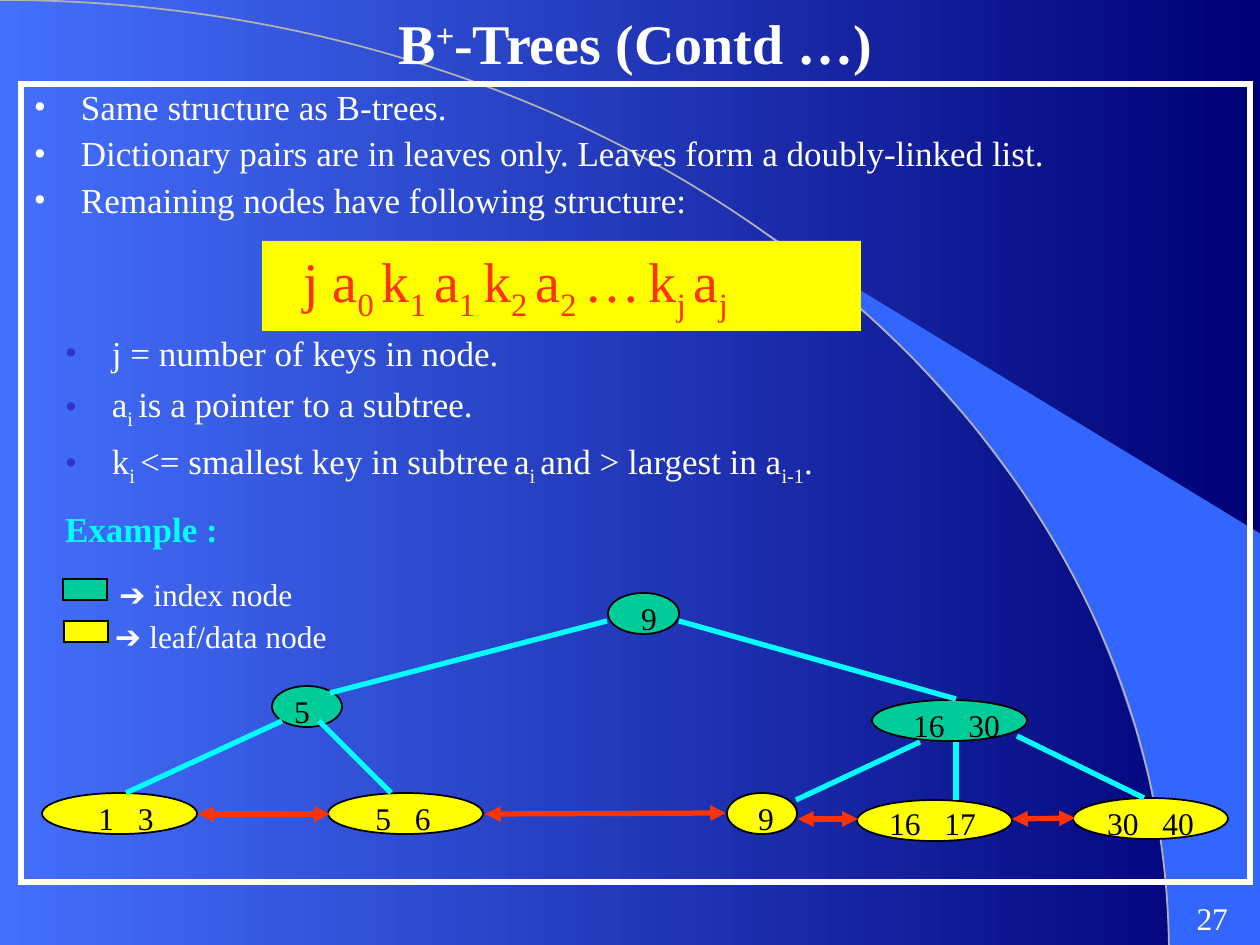
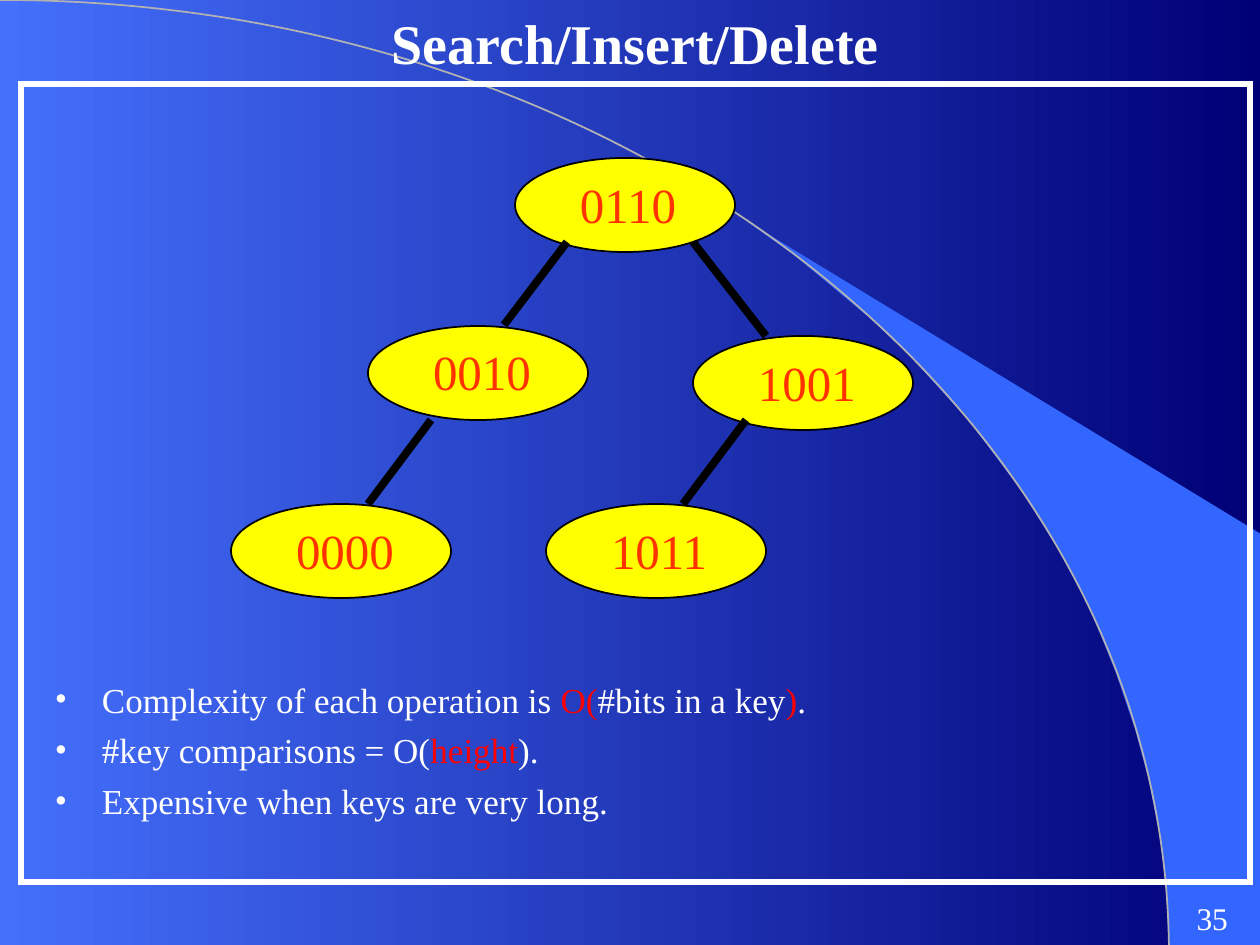
from lxml.etree import SubElement
from pptx import Presentation
from pptx.dml.color import RGBColor
from pptx.enum.shapes import MSO_CONNECTOR, MSO_SHAPE
from pptx.enum.text import MSO_ANCHOR, PP_ALIGN
from pptx.oxml.ns import qn
from pptx.util import Inches, Pt

PX = Inches(1) / 126
rgb = RGBColor.from_string


class Theme:
    font, symbol_font = "Times New Roman", "Arial"
    title, formula, key, body, small = 32, 32, 28, 20, 18
    white, black, gray = rgb("FFFFFF"), rgb("000000"), rgb("B2B2B2")
    sky, night, wedge = rgb("4470FC"), rgb("000076"), rgb("3366FF")
    yellow, green, cyan = rgb("FFFF00"), rgb("00CC99"), rgb("00FFFF")
    orange, red, indigo = rgb("FF3300"), rgb("FF0000"), rgb("3333CC")


SUB = {"xml": {"baseline": "-25000"}}
SUPER = {"xml": {"baseline": "30000"}}
WIDE = {"xml": {"spc": "900"}}
RED = {"color": Theme.red}
SYMBOL = {"name": Theme.symbol_font}


def add(s, kind, box, fill=None, line=None, weight=1):
    """Add a preset shape, or a text box when kind is None."""
    box = [round(v * PX) for v in box]
    if kind is None:
        return s.shapes.add_textbox(*box)
    sp = s.shapes.add_shape(kind, *box)
    sp.shadow.inherit = False
    if fill is None:
        sp.fill.background()
    else:
        sp.fill.solid()
        sp.fill.fore_color.rgb = fill
    if line is None:
        sp.line.fill.background()
    else:
        sp.line.color.rgb = line
        sp.line.width = Pt(weight)
        SubElement(sp.line._get_or_add_ln(), qn("a:miter"), lim="800000")
    return sp


def write(sp, paragraphs, size, color=Theme.white, bold=False, align=PP_ALIGN.LEFT,
          anchor=MSO_ANCHOR.TOP, left=13, right=13, bullet=None, spacing=None):
    """Fill a shape with paragraphs, each a list of strings or (string, format) runs."""
    tf = sp.text_frame
    frame_format = {"word_wrap": True, "vertical_anchor": anchor,
                    "margin_left": round(left * PX), "margin_right": round(right * PX),
                    "margin_top": round(6 * PX), "margin_bottom": round(6 * PX)}
    for name, value in frame_format.items():
        setattr(tf, name, value)
    for i, runs in enumerate(paragraphs):
        p = tf.add_paragraph() if i else tf.paragraphs[0]
        p.alignment = align
        if bullet is not None:
            pPr = p._p.get_or_add_pPr()
            pPr.set("marL", str(round(47 * PX)))
            pPr.set("indent", str(-round(47 * PX)))
            SubElement(SubElement(pPr, qn("a:buClr")), qn("a:srgbClr"), val=str(bullet))
            SubElement(pPr, qn("a:buFont"), typeface=Theme.font)
            SubElement(pPr, qn("a:buChar"), char="•")
        if i:
            p.space_before = Pt(5)
        if spacing:
            p.line_spacing = spacing
        for run in runs:
            words, extra = run if isinstance(run, tuple) else (run, {})
            r = p.add_run()
            r.text = words
            look = {"name": Theme.font, "size": Pt(size), "bold": bold, "color": color, **extra}
            r.font.color.rgb = look.pop("color")
            for name, value in look.pop("xml", {}).items():
                r._r.get_or_add_rPr().set(name, value)
            for name, value in look.items():
                setattr(r.font, name, value)


prs = Presentation()
prs.slide_width, prs.slide_height = Inches(10), Inches(7.5)

# Shared: gradient, wedge and arc, title, frame, slide number
fill = prs.slide_master.background.fill
fill.gradient()
fill.gradient_angle = 0
for stop, color in zip(fill.gradient_stops, (Theme.sky, Theme.night)):
    stop.color.rgb = color

wedge_points = [(1269, 955), (1269, 539), (748, 222), (794, 255), (829, 284), (871, 319),
                (911, 357), (969, 421), (1021, 490), (1058, 549), (1091, 611), (1116, 673),
                (1135, 729), (1148, 777), (1160, 837), (1166, 888)]
arc_controls = [(645, 0), (1169, 427), (1169, 955)]
titles = [(["B", ("+", SUPER), "-Trees (Contd …)"], "27"),
          (["Search/Insert/Delete"], "35")]
slides = []
for title, number in titles:
    s = prs.slides.add_slide(prs.slide_layouts[6])
    slides.append(s)

    builder = s.shapes.build_freeform(1169, 955, scale=PX)
    builder.add_line_segments(wedge_points, close=True)
    wedge = builder.convert_to_shape()
    wedge.shadow.inherit = False
    wedge.fill.solid()
    wedge.fill.fore_color.rgb = Theme.wedge
    wedge.line.fill.background()

    builder = s.shapes.build_freeform(0, 0, scale=PX)
    builder.add_line_segments(arc_controls[-1:], close=False)
    arc = builder.convert_to_shape()
    arc.shadow.inherit = False
    arc.fill.background()
    arc.line.color.rgb = Theme.gray
    arc.line.width = Pt(1)
    segment = next(arc._element.iter(qn("a:lnTo")))
    outline = segment.getparent()
    outline.remove(segment)
    curve = SubElement(outline, qn("a:cubicBezTo"))
    for x, y in arc_controls:
        SubElement(curve, qn("a:pt"), x=str(x), y=str(y))

    write(add(s, None, (966, 893, 262, 52)), [[number]], Theme.small,
          align=PP_ALIGN.RIGHT, left=0, right=0)
    write(add(s, None, (21, 0, 1229, 84)), [title], Theme.title, bold=True,
          align=PP_ALIGN.CENTER, anchor=MSO_ANCHOR.MIDDLE)
    add(s, MSO_SHAPE.RECTANGLE, (21, 84, 1229, 798), line=Theme.white, weight=3)
bplus, search = slides

# B+-tree slide: text
write(add(bplus, None, (21, 84, 1229, 147)), [
    ["Same structure as B-trees."],
    ["Dictionary pairs are in leaves only. Leaves form a doubly-linked list."],
    ["Remaining nodes have following structure:"],
], Theme.body, bullet=Theme.white, spacing=0.9)
write(add(bplus, MSO_SHAPE.RECTANGLE, (262, 241, 599, 90), Theme.yellow), [
    ["j a", ("0 ", SUB), "k", ("1 ", SUB), "a", ("1 ", SUB), "k", ("2 ", SUB),
     "a", ("2 ", SUB), "…", (" ", SUB), "k", ("j ", SUB), "a", ("j", SUB)],
], Theme.formula, Theme.orange, left=41)
write(add(bplus, None, (52, 326, 1071, 189)), [
    ["j = number of keys in node."],
    ["a", ("i ", SUB), "is a pointer to a subtree."],
    ["k", ("i ", SUB), "<= smallest key in subtree", (" ", SUB), "a", ("i ", SUB),
     "and > largest in a", ("i-1", SUB), "."],
], Theme.body, bullet=Theme.indigo)
write(add(bplus, None, (31, 501, 221, 55)), [["Example :"]], Theme.body, Theme.cyan,
      bold=True, align=PP_ALIGN.CENTER)

legend = [(63, 579, Theme.green, 106, 569, " index node"),
          (64, 621, Theme.yellow, 102, 611, " leaf/data node")]
for x, y, color, text_x, text_y, meaning in legend:
    add(bplus, MSO_SHAPE.RECTANGLE, (x, y, 44, 21), color, Theme.black, 0.75)
    write(add(bplus, None, (text_x, text_y, 256, 50)), [[("➔", SYMBOL), meaning]], Theme.small)

# B+-tree slide: nodes as x, y, width, fill, keys, then x, y, width of the label
nodes = [
    (608, 593, 71, Theme.green, "9", 619, 593, 60),
    (272, 686, 70, Theme.green, "5", 272, 686, 60),
    (872, 700, 155, Theme.green, "16 30", 872, 700, 169),
    (42, 793, 155, Theme.yellow, "1 3", 66, 793, 120),
    (328, 793, 155, Theme.yellow, "5 6", 343, 793, 120),
    (727, 793, 70, Theme.yellow, "9", 736, 793, 60),
    (857, 800, 155, Theme.yellow, "16 17", 858, 798, 149),
    (1073, 798, 155, Theme.yellow, "30 40", 1073, 798, 155),
]
for x, y, w, color, keys, text_x, text_y, text_w in nodes:
    add(bplus, MSO_SHAPE.OVAL, (x, y, w, 41), color, Theme.black)
    first, gap, second = keys.partition(" ")
    runs = [first, (gap, WIDE), second] if gap else [first]
    write(add(bplus, None, (text_x, text_y, text_w, 50)), [runs], Theme.small,
          Theme.black, align=PP_ALIGN.CENTER)

# Search slide: text and nodes
write(add(search, None, (42, 672, 1187, 210)), [
    ["Complexity of each operation is ", ("O(", RED), "#bits in a key", (")", RED), "."],
    ["#key comparisons = O(", ("height", RED), ")."],
    ["Expensive when keys are very long."],
], Theme.body, bullet=Theme.white)
for x, y, key in [(515, 158, "0110"), (368, 326, "0010"), (693, 336, "1001"),
                  (231, 504, "0000"), (546, 504, "1011")]:
    add(search, MSO_SHAPE.OVAL, (x, y, 220, 94), Theme.yellow, Theme.black)
    write(add(search, None, (x + 52, y + 10, 147, 72)), [[key]], Theme.key, Theme.orange)

# Tree edges and the doubly-linked leaf list
bplus_edges = [(607, 621, 330, 693), (679, 621, 956, 699), (282, 721, 126, 793),
               (319, 721, 391, 793), (920, 742, 796, 800), (956, 742, 956, 800),
               (1017, 736, 1144, 798)]
leaf_links = [(198, 814, 330, 814), (485, 814, 726, 813),
              (798, 819, 858, 819), (1012, 819, 1075, 818)]
search_edges = [(567, 242, 504, 325), (693, 242, 766, 336),
                (431, 420, 368, 504), (746, 420, 683, 504)]
for s, ends, color, weight, arrows in [
        (bplus, bplus_edges, Theme.cyan, 3, ()),
        (bplus, leaf_links, Theme.orange, 3, ("a:headEnd", "a:tailEnd")),
        (search, search_edges, Theme.black, 4.5, ())]:
    for end in ends:
        line = s.shapes.add_connector(MSO_CONNECTOR.STRAIGHT, *[round(v * PX) for v in end])
        line.line.color.rgb = color
        line.line.width = Pt(weight)
        for tag in arrows:
            SubElement(line.line._get_or_add_ln(), qn(tag), type="triangle")
        SubElement(line._element.spPr, qn("a:effectLst"))

prs.save("out.pptx")
